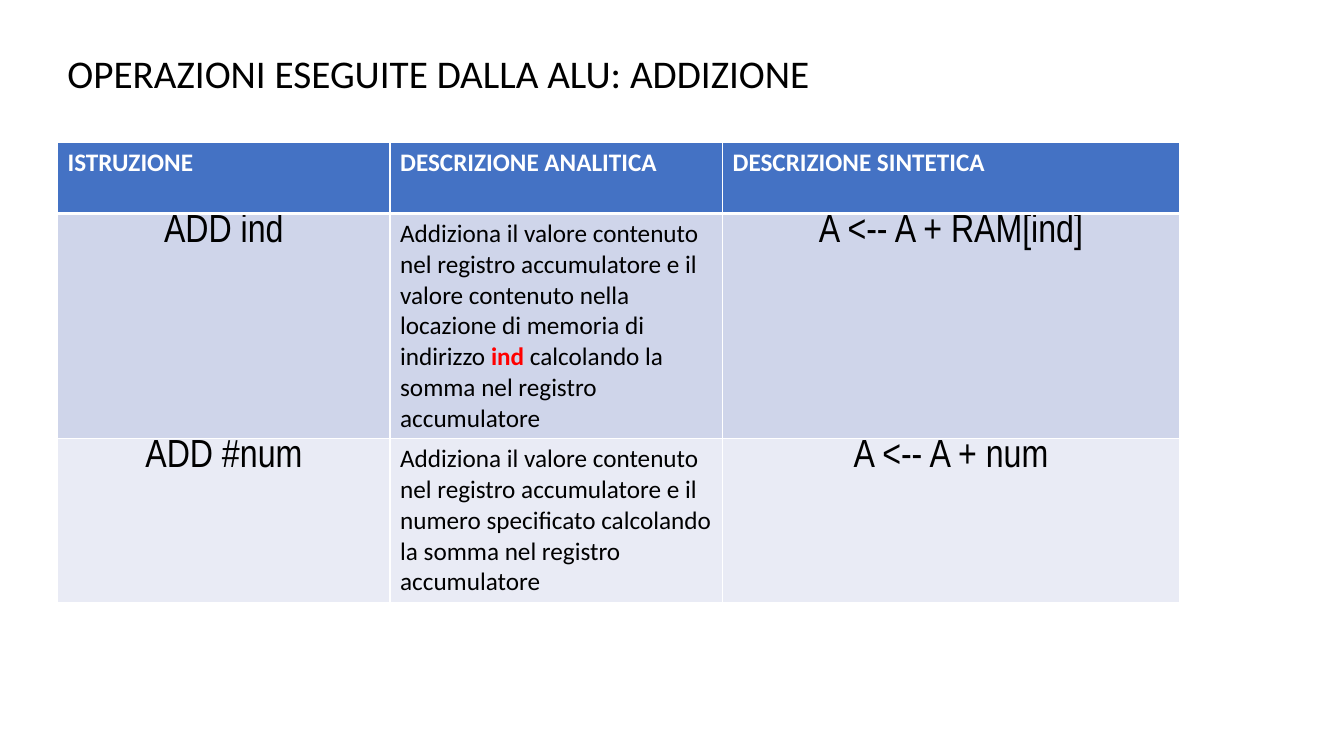
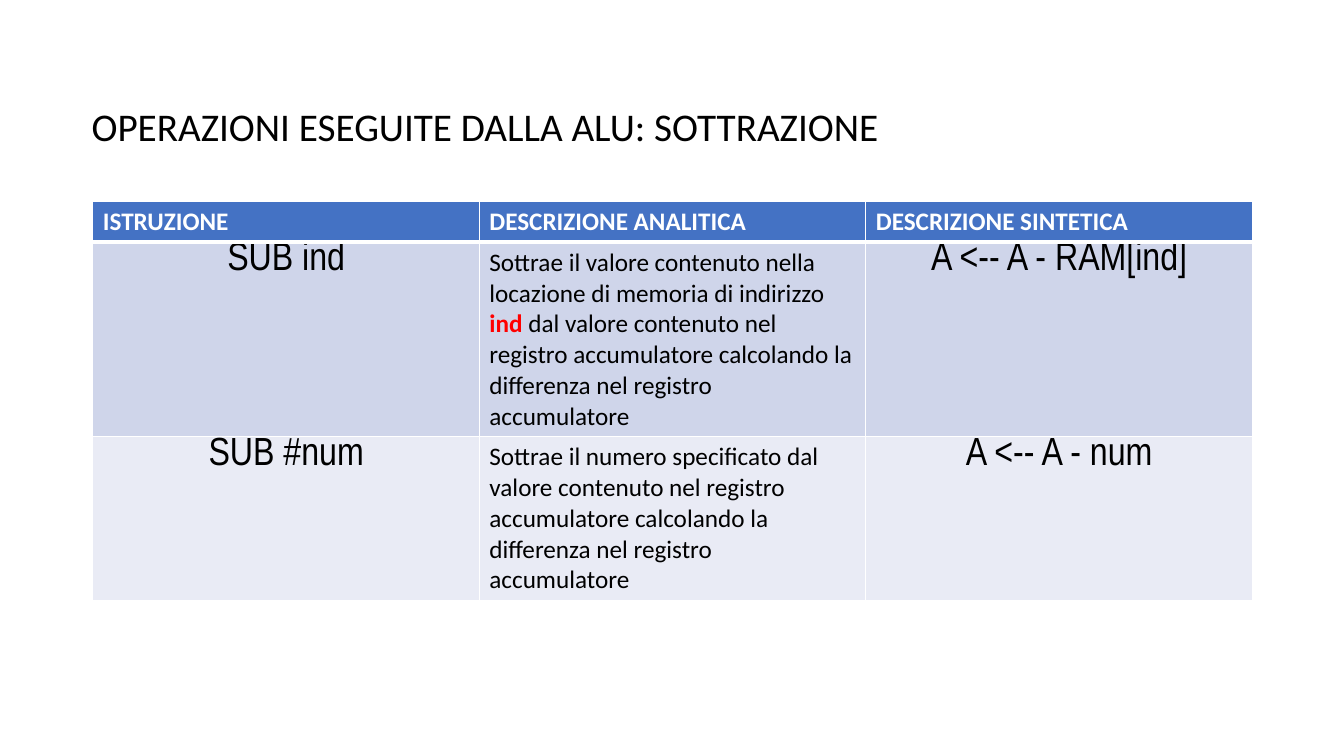
import pptx
import pptx.util
import pptx.dml.color
import pptx.enum.text
import pptx.oxml
import pptx.oxml.ns

Cm, Pt = pptx.util.Cm, pptx.util.Pt
ALIGN = pptx.enum.text.PP_ALIGN

COLORS = {
    "text": "000000", "white": "FFFFFF", "keyword": "FF0000",
    "header": "4472C4", "band_dark": "CFD5EA", "band_light": "E9EBF5",
}
BODY_FONT, CODE_FONT = "Calibri", "Arial Narrow"
LINE_HEIGHT, CELL_PADDING = 0.775, 0.25  # cm per 18 pt line, top plus bottom margin

# Content: a description is a list of runs, and "ind" is the highlighted keyword
HEADERS = ["ISTRUZIONE", "DESCRIZIONE ANALITICA", "DESCRIZIONE SINTETICA"]
KEYWORD = "ind"
SLIDES = [
    {
        "title": "OPERAZIONI ESEGUITE DALLA ALU: ADDIZIONE",
        "title_frame": (1.45, 1.24, 29.21, 15.49),
        "title_spacing": 0.9,
        "table_corner": (1.45, 3.58),
        "column_widths": (8.38, 8.38, 11.51),
        "row_lines": (2, 7, 5),
        "rows": [
            ("ADD ind",
             ["Addiziona il valore contenuto nel registro accumulatore e il valore "
              "contenuto nella locazione di memoria di indirizzo ", KEYWORD,
              " calcolando la somma nel registro accumulatore"],
             "A <-- A + RAM[ind]"),
            ("ADD #num",
             ["Addiziona il valore contenuto nel registro accumulatore e il numero "
              "specificato calcolando la somma nel registro accumulatore"],
             "A <-- A + num"),
        ],
    },
    {
        "title": "OPERAZIONI ESEGUITE DALLA ALU: SOTTRAZIONE",
        "title_frame": (2.06, 2.46, 20.55, 2.24),
        "title_spacing": 1.0,
        "table_corner": (2.34, 5.08),
        "column_widths": (9.74, 9.74, 9.74),
        "row_lines": (1, 6, 5),
        "rows": [
            ("SUB ind",
             ["Sottrae il valore contenuto nella locazione di memoria di indirizzo ",
              KEYWORD,
              " dal valore contenuto nel registro accumulatore calcolando la "
              "differenza nel registro accumulatore"],
             "A <-- A - RAM[ind]"),
            ("SUB #num",
             ["Sottrae il numero specificato dal valore contenuto nel registro "
              "accumulatore calcolando la differenza nel registro accumulatore"],
             "A <-- A - num"),
        ],
    },
]


def rgb(name):
    return pptx.dml.color.RGBColor.from_string(COLORS[name])


def write_text(paragraph, text, size=18, font=BODY_FONT, color="text", bold=False,
               align=ALIGN.LEFT, spacing=1.0):
    """Append one formatted run to the paragraph."""
    paragraph.alignment = align
    paragraph.line_spacing = spacing
    run = paragraph.add_run()
    run.text = text
    run.font.size = Pt(size)
    run.font.name = font
    run.font.bold = bold
    run.font.color.rgb = rgb(color)


def style_cell(cell, fill, bottom_width=1):
    """White borders first, then the fill, as the schema orders them."""
    properties = cell._tc.get_or_add_tcPr()
    for side, width in (("L", 1), ("R", 1), ("T", 1), ("B", bottom_width)):
        properties.append(pptx.oxml.parse_xml(
            f'<a:ln{side} {pptx.oxml.ns.nsdecls("a")} w="{Pt(width)}"><a:solidFill>'
            f'<a:srgbClr val="{COLORS["white"]}"/></a:solidFill></a:ln{side}>'))
    cell.fill.solid()
    cell.fill.fore_color.rgb = rgb(fill)


def add_title(slide, content):
    box = slide.shapes.add_textbox(*map(Cm, content["title_frame"]))
    box.text_frame.word_wrap = True
    write_text(box.text_frame.paragraphs[0], content["title"], size=28,
               spacing=content["title_spacing"])


def add_instruction_table(slide, content):
    widths = content["column_widths"]
    heights = [lines * LINE_HEIGHT + CELL_PADDING for lines in content["row_lines"]]
    table = slide.shapes.add_table(
        len(heights), len(widths), *map(Cm, content["table_corner"]),
        Cm(sum(widths)), Cm(sum(heights))).table
    for column, width in zip(table.columns, widths):
        column.width = Cm(width)
    for row, height in zip(table.rows, heights):
        row.height = Cm(height)

    # Header row
    for cell, header in zip(table.rows[0].cells, HEADERS):
        style_cell(cell, "header", bottom_width=3)
        write_text(cell.text_frame.paragraphs[0], header, color="white", bold=True)

    # Instruction rows: code cells are single strings, descriptions are lists of runs
    for index, values in enumerate(content["rows"]):
        for cell, value in zip(table.rows[index + 1].cells, values):
            style_cell(cell, ("band_dark", "band_light")[index % 2])
            paragraph = cell.text_frame.paragraphs[0]
            if isinstance(value, str):
                cell.margin_top = cell.margin_bottom = 0
                write_text(paragraph, value, size=28, font=CODE_FONT, align=ALIGN.CENTER)
                continue
            for text in value:
                is_keyword = text == KEYWORD
                write_text(paragraph, text, bold=is_keyword,
                           color="keyword" if is_keyword else "text")


def main():
    presentation = pptx.Presentation()
    presentation.slide_width, presentation.slide_height = Cm(33.87), Cm(19.05)
    for content in SLIDES:
        slide = presentation.slides.add_slide(presentation.slide_layouts[6])
        add_title(slide, content)
        add_instruction_table(slide, content)
    presentation.save("out.pptx")


if __name__ == "__main__":
    main()
